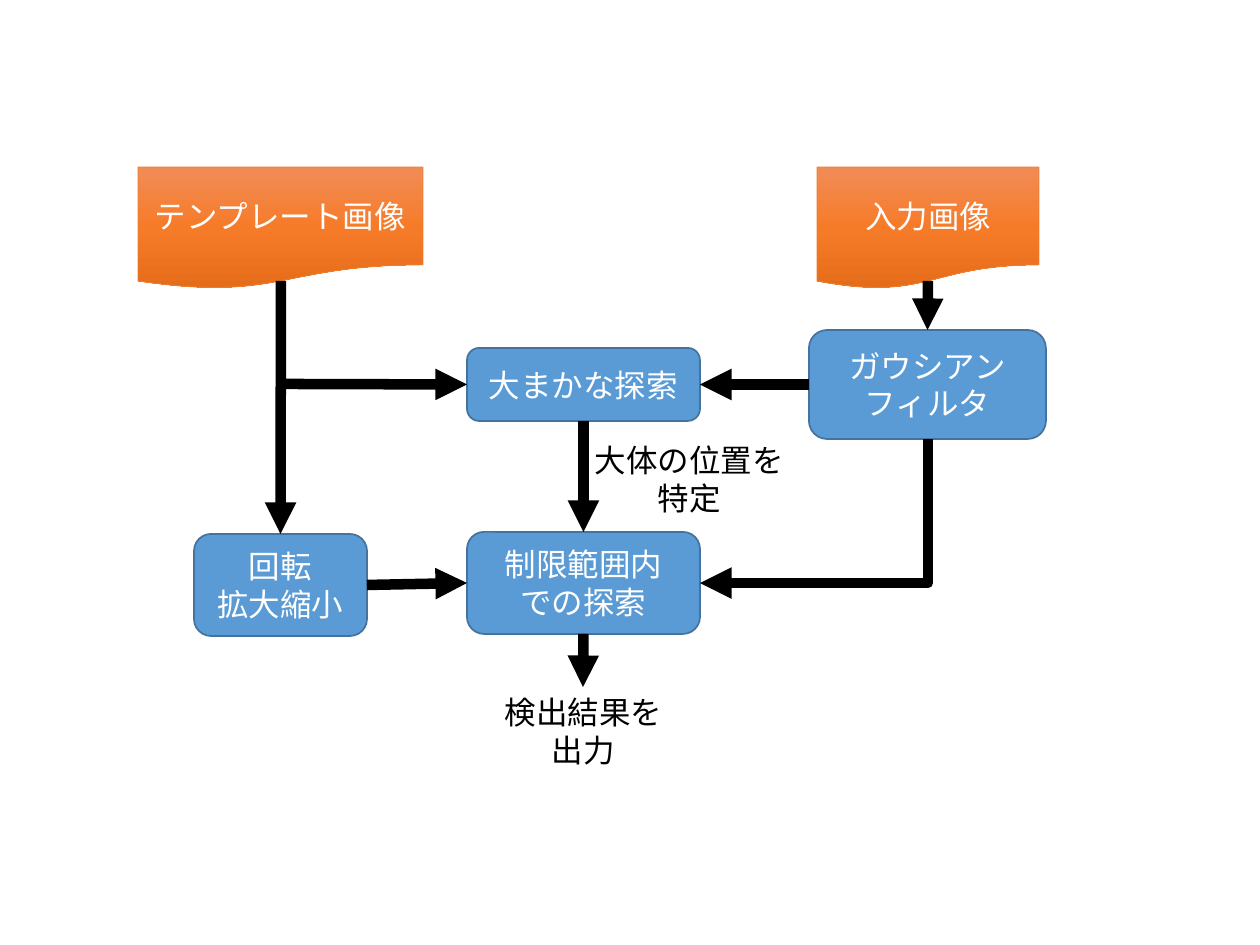
from dataclasses import dataclass

from lxml import etree
from pptx import Presentation
from pptx.dml.color import RGBColor
from pptx.enum.shapes import MSO_CONNECTOR, MSO_SHAPE
from pptx.enum.text import MSO_ANCHOR, MSO_AUTO_SIZE, PP_ALIGN
from pptx.oxml.ns import qn
from pptx.util import Emu, Pt

STRAIGHT = MSO_CONNECTOR.STRAIGHT
ELBOW = MSO_CONNECTOR.ELBOW
ROUNDED = MSO_SHAPE.ROUNDED_RECTANGLE
DOCUMENT = MSO_SHAPE.FLOWCHART_DOCUMENT
MIDDLE = MSO_ANCHOR.MIDDLE
CENTER = PP_ALIGN.CENTER
FIT_SHAPE = MSO_AUTO_SIZE.SHAPE_TO_FIT_TEXT
TOP, LEFT, BOTTOM, RIGHT = range(4)
PX_PER_INCH = 126


def px(length):
    return Emu(round(length * 914400 / PX_PER_INCH))


@dataclass(frozen=True)
class Theme:
    font: str = "Noto Sans CJK JP"
    text_size: int = 18
    dark: str = "000000"
    light: str = "FFFFFF"
    process_fill: str = "5B9BD5"
    process_line: str = "43739E"
    document_line: str = "ED7D31"
    document_stops: tuple = ((0, "F18C57"), (50, "F67B28"), (100, "E56C19"))
    process_width: float = 1
    document_width: float = 0.5
    arrow_width: float = 6


class FlowChart:
    def __init__(self, page, theme):
        self.shapes = page.shapes
        self.theme = theme

    def set_text(self, box, text, color):
        box.text_frame.word_wrap = True
        para = box.text_frame.paragraphs[0]
        para.text = text
        para.alignment = CENTER
        para.font.name = self.theme.font
        para.font.size = Pt(self.theme.text_size)
        para.font.color.rgb = RGBColor.from_string(color)
        properties = para._p.pPr.find(qn("a:defRPr"))
        etree.SubElement(properties, qn("a:ea"), typeface=self.theme.font)

    def block(self, kind, text, bounds, line_color, line_width):
        box = self.shapes.add_shape(kind, *map(px, bounds))
        box.shadow.inherit = False
        box.line.color.rgb = RGBColor.from_string(line_color)
        box.line.width = Pt(line_width)
        box.text_frame.vertical_anchor = MIDDLE
        self.set_text(box, text, self.theme.light)
        return box

    def process(self, text, *bounds):
        theme = self.theme
        box = self.block(ROUNDED, text, bounds, theme.process_line, theme.process_width)
        box.fill.solid()
        box.fill.fore_color.rgb = RGBColor.from_string(theme.process_fill)
        return box

    def document(self, text, *bounds):
        theme = self.theme
        box = self.block(DOCUMENT, text, bounds, theme.document_line, theme.document_width)
        box.fill.gradient()
        box.fill.gradient_angle = 270
        stops = box._element.spPr.find(qn("a:gradFill")).find(qn("a:gsLst"))
        stops.clear()
        for position, color in theme.document_stops:
            stop = etree.SubElement(stops, qn("a:gs"), pos=str(position * 1000))
            etree.SubElement(stop, qn("a:srgbClr"), val=color)

    def label(self, text, *bounds):
        box = self.shapes.add_textbox(*map(px, bounds))
        self.set_text(box, text, self.theme.dark)
        box.text_frame.auto_size = FIT_SHAPE

    def connector(self, kind, start, end):
        arrow = self.shapes.add_connector(kind, *map(px, (*start, *end)))
        arrow.line.color.rgb = RGBColor.from_string(self.theme.dark)
        arrow.line.width = Pt(self.theme.arrow_width)
        properties = arrow._element.spPr
        etree.SubElement(properties.find(qn("a:ln")), qn("a:tailEnd"), type="triangle")
        etree.SubElement(properties, qn("a:effectLst"))
        return arrow

    def arrow(self, start, end, source=None, target=None):
        arrow = self.connector(STRAIGHT, start, end)
        if source:
            arrow.begin_connect(*source)
        if target:
            arrow.end_connect(*target)

    def corner_arrow(self, start, end):
        arrow = self.connector(ELBOW, start, end)
        (x1, y1), (x2, y2) = start, end
        across, down = x1 - x2, y2 - y1
        properties = arrow._element.spPr
        properties.find(qn("a:prstGeom")).set("prst", "bentConnector2")
        frame = properties.find(qn("a:xfrm"))
        frame.attrib.clear()
        frame.set("rot", "5400000")
        arrow.left = px((x1 + x2 - down) / 2)
        arrow.top = px((y1 + y2 - across) / 2)
        arrow.width, arrow.height = px(down), px(across)


def main():
    deck = Presentation()
    deck.slide_width, deck.slide_height = px(1260), px(945)
    page = deck.slides.add_slide(deck.slide_layouts[6])
    chart = FlowChart(page, Theme())

    gaussian = chart.process("ガウシアン\nフィルタ", 809, 330, 237, 109)
    chart.document("入力画像", 817, 167, 222, 122)
    chart.document("テンプレート画像", 138, 167, 285, 122)
    rough = chart.process("大まかな探索", 467, 348, 233, 73)
    limited = chart.process("制限範囲内\nでの探索", 467, 532, 233, 102)
    rotate = chart.process("回転\n拡大縮小", 194, 534, 173, 102)

    chart.arrow((928, 281), (928, 330), target=(gaussian, TOP))
    chart.arrow((809, 384), (700, 384), (gaussian, LEFT), (rough, RIGHT))
    chart.arrow((285, 384), (467, 384), target=(rough, LEFT))
    chart.arrow((583, 421), (583, 532), (rough, BOTTOM), (limited, TOP))
    chart.arrow((281, 281), (281, 534), target=(rotate, TOP))
    chart.arrow((367, 585), (467, 583), (rotate, RIGHT), (limited, LEFT))
    chart.corner_arrow((928, 439), (700, 583))
    chart.arrow((583, 634), (583, 687), source=(limited, BOTTOM))

    chart.label("大体の位置を\n特定", 582, 435, 215, 89)
    chart.label("検出結果を\n出力", 476, 687, 215, 89)
    deck.save("out.pptx")


if __name__ == "__main__":
    main()
